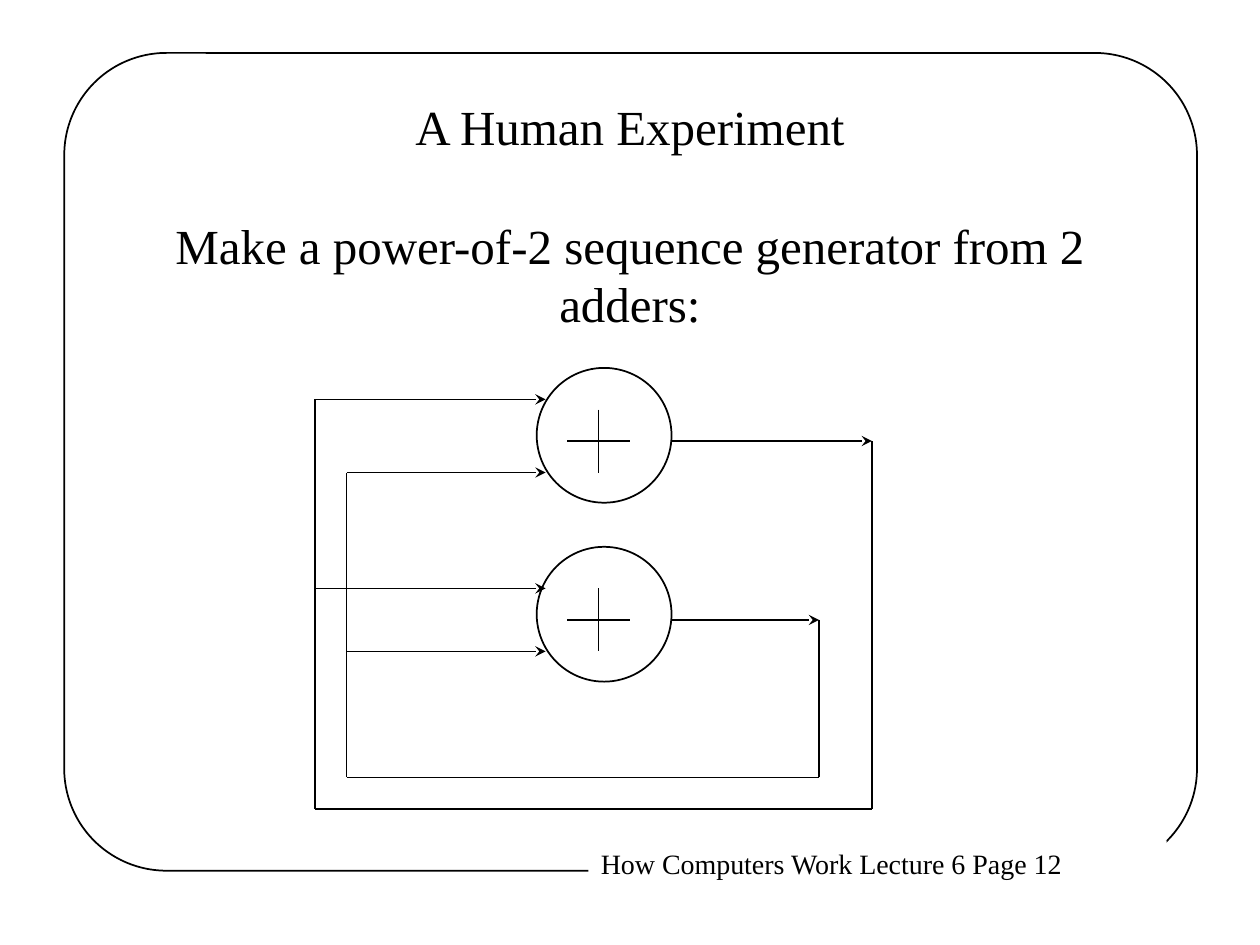
from typing import NamedTuple

from lxml import etree
from pptx import Presentation, util as u
from pptx.dml.color import RGBColor
from pptx.enum import shapes, text
from pptx.oxml.ns import qn

BLACK, WHITE = "000000", "FFFFFF"
FONT = "Times New Roman"
LINE_WIDTH = u.Pt(1)
DIAMETER = 1.07
PLUS_ARM = 0.25


class Adder(NamedTuple):
    """Circle corner and centre of the plus sign."""
    left: float
    top: float
    plus_x: float
    plus_y: float


class Wire(NamedTuple):
    """Corner points of a wire and the segments that end in an arrow."""
    points: list[tuple[float, float]]
    arrows: tuple[int, ...] = ()


ADDERS = [Adder(4.26, 2.92, 4.75, 3.5), Adder(4.26, 4.34, 4.75, 4.92)]
WIRES = [
    Wire([(5.33, 3.5), (6.92, 3.5), (6.92, 6.42), (2.5, 6.42),
          (2.5, 3.17), (4.33, 3.17)], (0, 4)),
    Wire([(2.5, 4.67), (4.33, 4.67)], (0,)),
    Wire([(5.33, 4.92), (6.5, 4.92), (6.5, 6.17), (2.75, 6.17),
          (2.75, 3.75), (4.33, 3.75)], (0, 4)),
    Wire([(2.75, 5.17), (4.33, 5.17)], (0,)),
]


def color(value: str) -> RGBColor:
    """Turn a hex string into a colour."""
    return RGBColor.from_string(value)


def add_outline(parent, kind, left: float, top: float, width: float, height: float):
    """Add a white shape with a thin black outline."""
    shape = parent.add_shape(kind, *map(u.Inches, (left, top, width, height)))
    shape.shadow.inherit = False
    shape.fill.solid()
    shape.fill.fore_color.rgb = color(WHITE)
    shape.line.color.rgb = color(BLACK)
    shape.line.width = LINE_WIDTH
    return shape


def add_line(parent, start: tuple[float, float], end: tuple[float, float],
             arrow: bool = False) -> None:
    """Add a straight black line, with a stealth arrowhead if asked."""
    line = parent.add_connector(shapes.MSO_CONNECTOR.STRAIGHT,
                                *map(u.Inches, (*start, *end)))
    line.line.color.rgb = color(BLACK)
    line.line.width = LINE_WIDTH
    properties = line._element.spPr
    if arrow:
        etree.SubElement(properties.find(qn("a:ln")), qn("a:tailEnd"), type="stealth")
    etree.SubElement(properties, qn("a:effectLst"))


def write(frame, wording: str, size: int, align) -> None:
    """Set the text of a frame and format every paragraph."""
    frame.text = wording
    for para in frame.paragraphs:
        para.alignment = align
        for span in para.runs:
            span.font.name = FONT
            span.font.size = u.Pt(size)
            span.font.color.rgb = color(BLACK)


def add_adder(page, adder: Adder) -> None:
    """Add a grouped circle with a plus sign."""
    parts = page.shapes.add_group_shape().shapes
    add_outline(parts, shapes.MSO_SHAPE.OVAL, adder.left, adder.top, DIAMETER, DIAMETER)
    x, y = adder.plus_x, adder.plus_y
    add_line(parts, (x, y - PLUS_ARM), (x, y + PLUS_ARM))
    add_line(parts, (x - PLUS_ARM, y), (x + PLUS_ARM, y))


def add_wire(page, wire: Wire) -> None:
    """Add the segments of a wire."""
    for index, (start, end) in enumerate(zip(wire.points, wire.points[1:])):
        add_line(page.shapes, start, end, index in wire.arrows)


deck = Presentation()
deck.slide_width, deck.slide_height = u.Inches(10), u.Inches(7.5)
page = deck.slides.add_slide(deck.slide_layouts[6])

border = add_outline(page.shapes, shapes.MSO_SHAPE.ROUNDED_RECTANGLE,
                     0.51, 0.42, 8.99, 6.49)
border.adjustments[0] = 0.125
border.fill.background()

footer = add_outline(page.shapes, shapes.MSO_SHAPE.RECTANGLE, 4.67, 6.67, 4.59, 0.37)
footer.line.fill.background()
footer.text_frame.word_wrap = False
write(footer.text_frame, "How Computers Work Lecture 6 Page 12", 16, text.PP_ALIGN.LEFT)
footer.text_frame.vertical_anchor = text.MSO_ANCHOR.TOP

title = page.shapes.add_textbox(*map(u.Inches, (0.75, 1.08, 8.5, 1.25)))
title.text_frame.word_wrap = True
title.text_frame.vertical_anchor = text.MSO_ANCHOR.MIDDLE
write(title.text_frame,
      "A Human Experiment\nMake a power-of-2 sequence generator from 2 adders:",
      28, text.PP_ALIGN.CENTER)
title.text_frame.paragraphs[1].space_before = u.Pt(34)

for adder in ADDERS:
    add_adder(page, adder)
for wire in WIRES:
    add_wire(page, wire)

deck.save("out.pptx")
